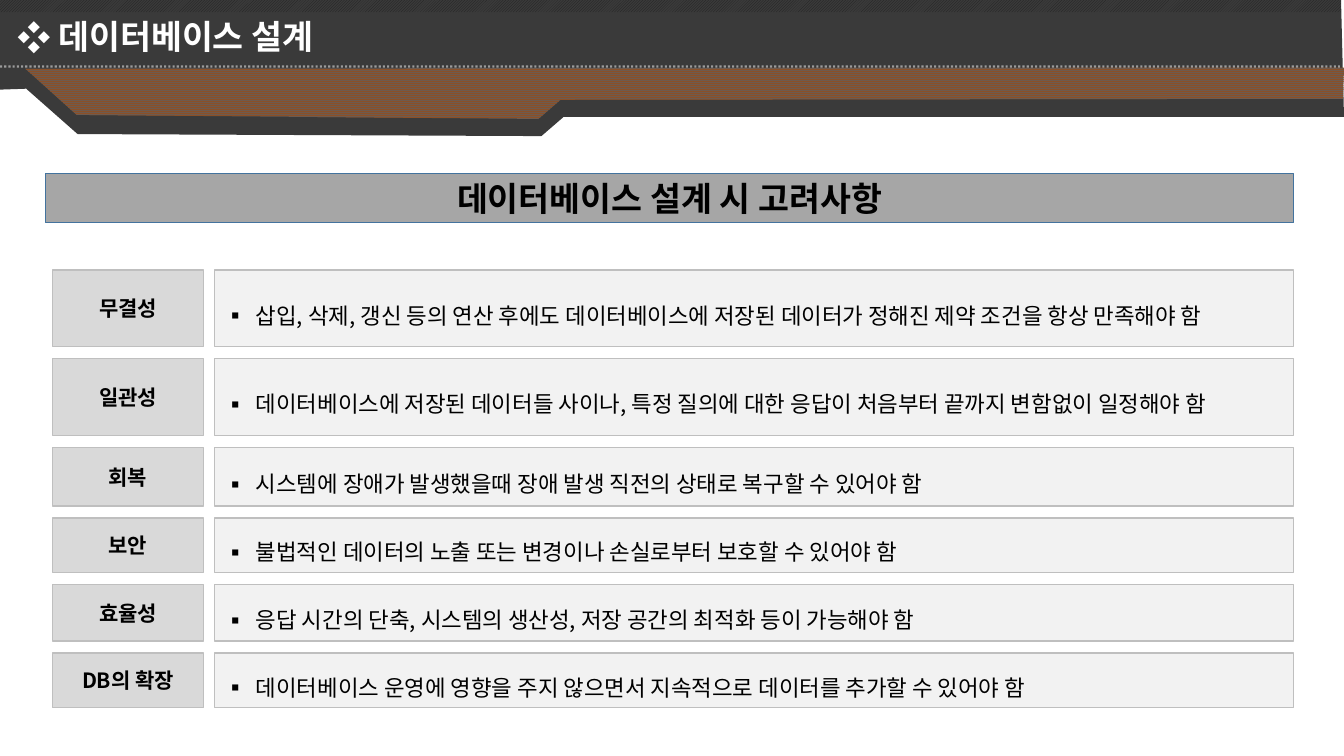
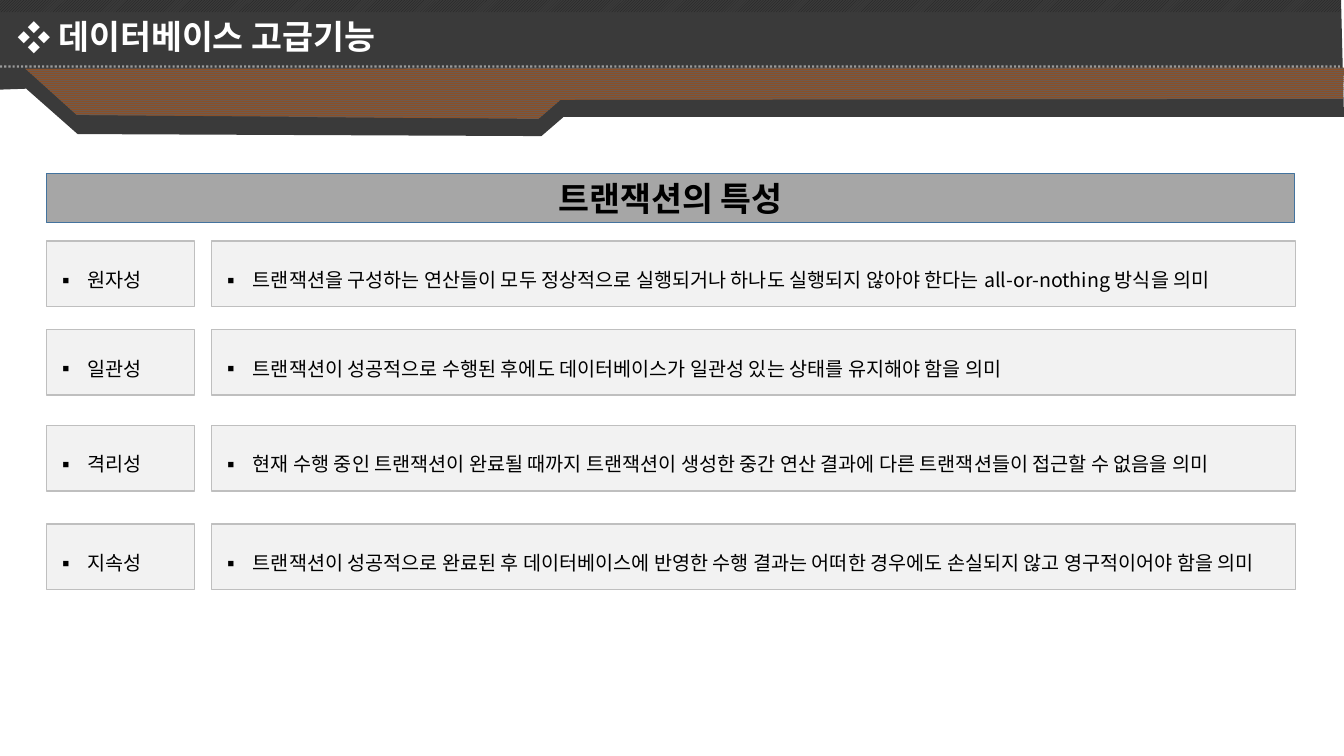
from lxml.etree import SubElement
from pptx import Presentation
from pptx.dml.color import RGBColor
from pptx.enum.dml import MSO_LINE, MSO_PATTERN
from pptx.enum.shapes import MSO_CONNECTOR, MSO_SHAPE
from pptx.enum.text import MSO_ANCHOR, MSO_AUTO_SIZE, PP_ALIGN
from pptx.oxml import parse_xml
from pptx.oxml.ns import nsdecls, qn
from pptx.util import Inches, Pt

FONT = "Noto Sans CJK KR"
COLORS = {
    "band": "3A3A3A", "stripe": "1E1E1E", "copper": "8A5028", "umber": "6E5A4E",
    "white": "FFFFFF", "black": "000000",
    "heading": "A6A6A6", "heading_line": "43739E",
    "label": "D9D9D9", "detail": "F2F2F2", "box_line": "BFBFBF",
}
BAND_OUTLINE = [(-0.02, -0.02), (13.3, -0.03), (13.33, 1.16), (5.59, 1.16),
                (5.37, 1.35), (0.77, 1.33), (0.26, 0.88), (-0.02, 0.89)]
COPPER_OUTLINE = [(0.25, 0.68), (0.76, 1.14), (5.34, 1.18), (5.56, 0.99),
                  (13.32, 0.98), (13.33, 0.67)]

# Text formats
TITLE = {"size": Pt(24), "bold": True, "color": "white"}
HEADING = {"size": Pt(24), "bold": True, "color": "black"}
LABEL = {"size": Pt(15), "bold": True, "color": "black"}
DETAIL = {"size": Pt(16), "bold": False, "color": "black"}
TRAIT = {"size": Pt(14), "bold": False, "color": "black"}

# Height, label and detail of each design row
DESIGN_ROWS = [
    (0.76, "무결성", "삽입, 삭제, 갱신 등의 연산 후에도 데이터베이스에 저장된 데이터가 정해진 제약 조건을 항상 만족해야 함"),
    (0.76, "일관성", "데이터베이스에 저장된 데이터들 사이나, 특정 질의에 대한 응답이 처음부터 끝까지 변함없이 일정해야 함"),
    (0.58, "회복", "시스템에 장애가 발생했을때 장애 발생 직전의 상태로 복구할 수 있어야 함"),
    (0.54, "보안", "불법적인 데이터의 노출 또는 변경이나 손실로부터 보호할 수 있어야 함"),
    (0.56, "효율성", "응답 시간의 단축, 시스템의 생산성, 저장 공간의 최적화 등이 가능해야 함"),
    (0.54, "DB의 확장", "데이터베이스 운영에 영향을 주지 않으면서 지속적으로 데이터를 추가할 수 있어야 함"),
]
# Top, label and detail of each transaction row
TRANSACTION_ROWS = [
    (2.39, "원자성", "트랜잭션을 구성하는 연산들이 모두 정상적으로 실행되거나 하나도 실행되지 않아야 한다는 all-or-nothing 방식을 의미"),
    (3.27, "일관성", "트랜잭션이 성공적으로 수행된 후에도 데이터베이스가 일관성 있는 상태를 유지해야 함을 의미"),
    (4.22, "격리성", "현재 수행 중인 트랜잭션이 완료될 때까지 트랜잭션이 생성한 중간 연산 결과에 다른 트랜잭션들이 접근할 수 없음을 의미"),
    (5.2, "지속성", "트랜잭션이 성공적으로 완료된 후 데이터베이스에 반영한 수행 결과는 어떠한 경우에도 손실되지 않고 영구적이어야 함을 의미"),
]


def rgb(name):
    return RGBColor.from_string(COLORS[name])


def fill_solid(shape, color):
    shape.shadow.inherit = False
    shape.fill.solid()
    shape.fill.fore_color.rgb = rgb(color)


def fill_pattern(shape, pattern, front, back):
    shape.shadow.inherit = False
    shape.line.fill.background()
    shape.fill.patterned()
    shape.fill.pattern = pattern
    shape.fill.fore_color.rgb = rgb(front)
    shape.fill.back_color.rgb = rgb(back)


def add_bullet(para, symbol, indent=0):
    properties = para._p.get_or_add_pPr()
    properties.set("marL", str(Inches(indent)))
    properties.set("indent", str(-Inches(indent)))
    SubElement(properties, qn("a:buFont"), typeface=FONT)
    SubElement(properties, qn("a:buChar"), char=symbol)


def write(para, text, style):
    span = para.add_run()
    span.text = text
    span.font.name = FONT
    for key, value in style.items():
        if key == "color":
            span.font.color.rgb = rgb(value)
        else:
            setattr(span.font, key, value)
    SubElement(span._r.get_or_add_rPr(), qn("a:ea"), typeface=FONT)
    return span


def add_box(page, place, fill, line, text, style, bullet=False):
    box = page.shapes.add_shape(MSO_SHAPE.RECTANGLE, *map(Inches, place))
    fill_solid(box, fill)
    box.line.color.rgb = rgb(line)
    box.line.width = Pt(1)
    frame = box.text_frame
    frame.word_wrap = True
    frame.vertical_anchor = MSO_ANCHOR.MIDDLE
    para = frame.paragraphs[0]
    para.alignment = PP_ALIGN.LEFT if bullet else PP_ALIGN.CENTER
    if bullet:
        add_bullet(para, "▪", 0.31)
        para.line_spacing = 1.5
    write(para, text, style)


def add_outline(page, points):
    corners = [(Inches(x), Inches(y)) for x, y in points]
    builder = page.shapes.build_freeform(*corners[0])
    builder.add_line_segments(corners[1:], close=True)
    return builder.convert_to_shape()


def add_band(page):
    band = add_outline(page, BAND_OUTLINE)
    fill_solid(band, "band")
    band.line.fill.background()
    stripes = page.shapes.add_shape(
        MSO_SHAPE.RECTANGLE, *map(Inches, (-0.03, 0, 13.33, 0.12)))
    fill_pattern(stripes, MSO_PATTERN.LIGHT_UPWARD_DIAGONAL, "stripe", "band")
    copper = add_outline(page, COPPER_OUTLINE)
    fill_pattern(copper, MSO_PATTERN.NARROW_HORIZONTAL, "copper", "umber")
    # Half-transparent dotted rule
    rule = page.shapes.add_connector(
        MSO_CONNECTOR.STRAIGHT, *map(Inches, (0, 0.66, 13.29, 0.66)))
    rule.line.color.rgb = rgb("white")
    rule.line.width = Pt(1.5)
    rule.line.dash_style = MSO_LINE.ROUND_DOT
    properties = rule._element.spPr
    SubElement(next(properties.iter(qn("a:srgbClr"))), qn("a:alpha"), val="50000")
    SubElement(properties, qn("a:effectLst"))


def set_title(page, text):
    title = page.shapes.title
    title.left, title.top, title.width, title.height = map(
        Inches, (0.07, 0.11, 6.59, 0.5))
    frame = title.text_frame
    frame.auto_size = MSO_AUTO_SIZE.NONE
    frame.vertical_anchor = MSO_ANCHOR.MIDDLE
    para = frame.paragraphs[0]
    para.alignment = PP_ALIGN.LEFT
    add_bullet(para, "❖")
    span = write(para, " " + text, TITLE)
    shadow = parse_xml(
        f'<a:effectLst {nsdecls("a")}><a:outerShdw blurRad="38100" dist="38100" '
        f'dir="2700000"><a:srgbClr val="{COLORS["black"]}"/></a:outerShdw></a:effectLst>')
    span._r.rPr.find(qn("a:latin")).addprevious(shadow)
    # Bring the title in front of the band
    page.shapes._spTree.append(title._element)


def add_page(deck, title, heading, left):
    page = deck.slides.add_slide(deck.slide_layouts[5])
    add_band(page)
    set_title(page, title)
    add_box(page, (left, 1.72, 12.38, 0.49), "heading", "heading_line", heading, HEADING)
    return page


def add_design_rows(page):
    top, gap = 2.68, 0.12
    for height, label, detail in DESIGN_ROWS:
        add_box(page, (0.52, top, 1.5, height), "label", "box_line", label, LABEL)
        add_box(page, (2.13, top, 10.7, height), "detail", "box_line", detail, DETAIL, True)
        top += height + gap


def add_transaction_rows(page):
    for top, *texts in TRANSACTION_ROWS:
        for (left, width), text in zip([(0.46, 1.47), (2.1, 10.75)], texts):
            add_box(page, (left, top, width, 0.65), "detail", "box_line", text, TRAIT, True)


def main():
    deck = Presentation()
    deck.slide_width, deck.slide_height = Inches(13.33), Inches(7.5)
    add_design_rows(add_page(deck, "데이터베이스 설계", "데이터베이스 설계 시 고려사항", 0.45))
    add_transaction_rows(add_page(deck, "데이터베이스 고급기능", "트랜잭션의 특성", 0.46))
    deck.save("out.pptx")


if __name__ == "__main__":
    main()
